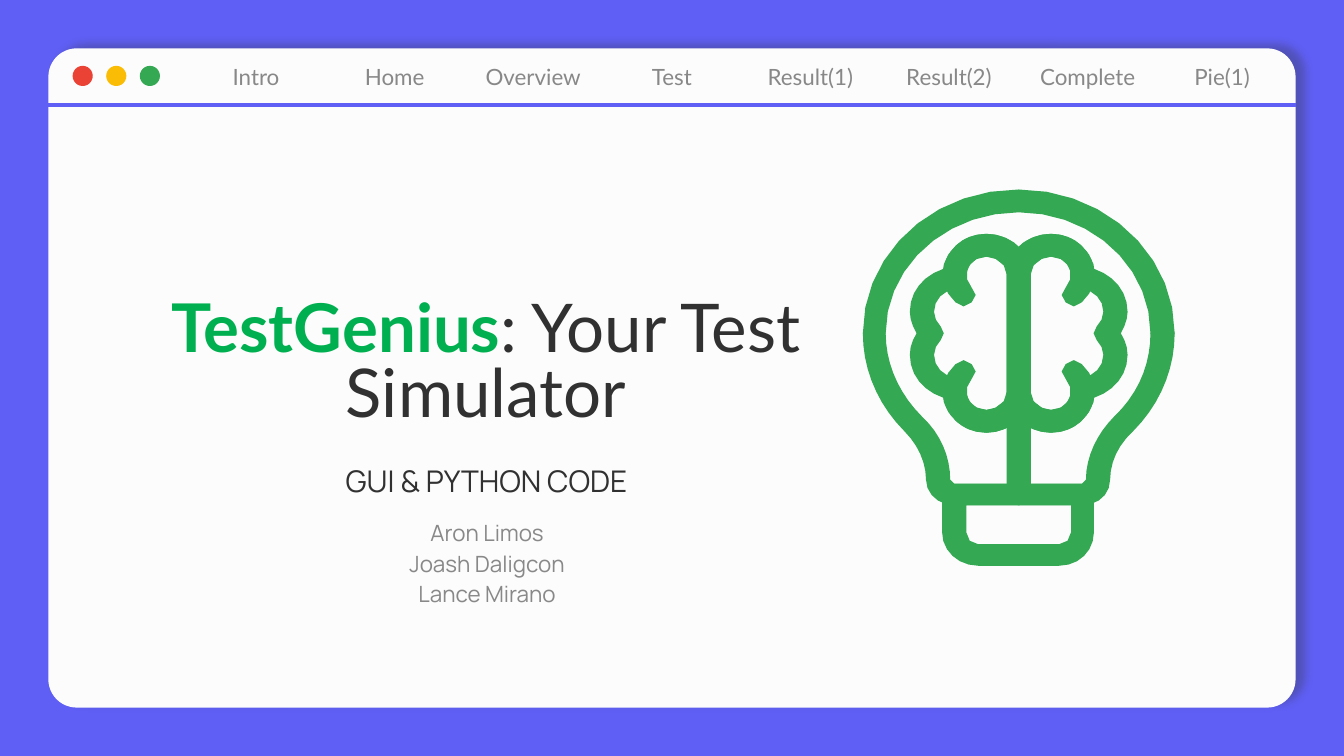
from math import ceil, dist

from lxml import etree
from pptx import Presentation
from pptx.dml.color import RGBColor
from pptx.enum.shapes import MSO_CONNECTOR, MSO_SHAPE
from pptx.enum.text import MSO_ANCHOR, PP_ALIGN
from pptx.oxml import parse_xml
from pptx.oxml.ns import nsdecls, qn
from pptx.util import Inches, Pt

ROUNDED, ROUND_CORNER, OVAL = (
    MSO_SHAPE.ROUNDED_RECTANGLE, MSO_SHAPE.ROUND_1_RECTANGLE, MSO_SHAPE.OVAL)
STRAIGHT = MSO_CONNECTOR.STRAIGHT
CENTER = PP_ALIGN.CENTER
TOP, MIDDLE, BOTTOM = MSO_ANCHOR.TOP, MSO_ANCHOR.MIDDLE, MSO_ANCHOR.BOTTOM

COLORS = {
    "background": "5F5FF5", "panel": "FCFCFC", "ink": "313131", "muted": "888888",
    "title": "00B050", "red": "EA4335", "yellow": "FBBC05", "green": "34A853",
}

# Content
TABS = ["Intro", "Home", "Overview", "Test", "Result(1)", "Result(2)", "Complete", "Pie(1)"]
DOTS = ["red", "yellow", "green"]
# box, anchor, line spacing, paragraphs of (text, font, size, color, bold) runs
TEXTS = [
    ((1.09, 1.83, 5.05, 1.47), BOTTOM, 0.8,
     [[("TestGenius", "Lato", 36, "title", True),
       (": Your Test Simulator", "Lato", 36, "ink", False)]]),
    ((1.91, 3.3, 3.42, 0.53), TOP, 1.15,
     [[("GUI & PYTHON CODE", "Manrope", 16, "ink", False)]]),
    ((1.91, 3.73, 3.43, 1.05), TOP, 1.15,
     [[("Aron Limos\vJoash Daligcon", "Manrope", 12, "muted", False)],
      [("Lance Mirano", "Manrope", 12, "muted", False)]]),
]

# Bulb outlines in inches: each contour is a start point, then lines (x, y)
# and cubic curves (two control points and an end point).
CURL = [[
    (7.34, 1.74), (7.25, 1.74, 7.17, 1.77, 7.11, 1.83), (6.98, 1.95, 6.98, 2.13, 7.11, 2.25),
    (7.12, 2.27, 7.14, 2.28, 7.17, 2.28), (7.19, 2.28, 7.22, 2.27, 7.23, 2.25),
    (7.27, 2.22, 7.27, 2.17, 7.23, 2.14), (7.18, 2.09, 7.18, 2, 7.23, 1.95),
    (7.26, 1.92, 7.3, 1.91, 7.34, 1.91), (7.38, 1.91, 7.42, 1.92, 7.44, 1.95),
    (7.46, 1.96, 7.48, 1.97, 7.51, 1.97), (7.53, 1.97, 7.56, 1.96, 7.57, 1.95),
    (7.61, 1.91, 7.61, 1.86, 7.57, 1.83), (7.51, 1.77, 7.42, 1.74, 7.34, 1.74)]]
LOBE = [
    [(7.34, 1.91), (7.42, 1.91, 7.49, 1.97, 7.49, 2.04), (7.49, 2.92),
     (7.49, 2.99, 7.42, 3.05, 7.34, 3.05), (7.26, 3.05, 7.19, 2.99, 7.19, 2.92),
     (7.19, 2.9), (7.19, 2.87, 7.19, 2.86, 7.17, 2.84),
     (7.16, 2.82, 7.14, 2.81, 7.11, 2.81), (7.02, 2.8, 6.95, 2.73, 6.95, 2.64),
     (6.95, 2.6, 6.97, 2.56, 7, 2.53), (7.03, 2.5, 7.03, 2.46, 7, 2.43),
     (6.97, 2.4, 6.95, 2.36, 6.95, 2.32), (6.95, 2.23, 7.02, 2.16, 7.11, 2.15),
     (7.14, 2.15, 7.16, 2.14, 7.17, 2.12), (7.19, 2.1, 7.19, 2.09, 7.19, 2.06),
     (7.19, 2.04), (7.19, 1.97, 7.26, 1.91, 7.34, 1.91)],
    [(7.34, 1.74), (7.17, 1.74, 7.04, 1.86, 7.02, 2), (6.87, 2.05, 6.77, 2.17, 6.77, 2.32),
     (6.77, 2.37, 6.79, 2.43, 6.82, 2.48), (6.79, 2.53, 6.77, 2.58, 6.77, 2.64),
     (6.77, 2.79, 6.87, 2.91, 7.02, 2.96), (7.04, 3.1, 7.17, 3.22, 7.34, 3.22),
     (7.52, 3.22, 7.67, 3.08, 7.67, 2.92), (7.67, 2.04), (7.67, 1.87, 7.52, 1.74, 7.34, 1.74)]]
CAP = [
    [(7.97, 3.76), (7.97, 3.96), (7.97, 4.01, 7.93, 4.05, 7.88, 4.05), (7.28, 4.05),
     (7.23, 4.05, 7.19, 4.01, 7.19, 3.96), (7.19, 3.76)],
    [(7.1, 3.6), (7.05, 3.6, 7.01, 3.63, 7.01, 3.68), (7.01, 3.96),
     (7.01, 4.1, 7.13, 4.21, 7.28, 4.21), (7.88, 4.21), (8.03, 4.21, 8.14, 4.1, 8.14, 3.96),
     (8.14, 3.68), (8.14, 3.63, 8.1, 3.6, 8.05, 3.6)]]
NECK = [[
    (6.51, 2.4), (6.45, 2.4, 6.42, 2.43, 6.42, 2.48), (6.42, 2.75, 6.53, 3.01, 6.73, 3.21),
    (6.83, 3.31, 6.89, 3.44, 6.89, 3.57), (6.89, 3.68, 6.99, 3.76, 7.1, 3.76), (8.05, 3.76),
    (8.17, 3.76, 8.26, 3.68, 8.26, 3.57), (8.26, 3.44, 8.32, 3.31, 8.43, 3.21),
    (8.63, 3.01, 8.74, 2.75, 8.74, 2.48), (8.74, 2.43, 8.7, 2.4, 8.65, 2.4),
    (8.6, 2.4, 8.56, 2.43, 8.56, 2.48), (8.56, 2.71, 8.47, 2.93, 8.29, 3.1),
    (8.16, 3.23, 8.08, 3.4, 8.08, 3.57), (8.08, 3.59, 8.07, 3.6, 8.05, 3.6), (7.1, 3.6),
    (7.08, 3.6, 7.07, 3.59, 7.07, 3.57), (7.07, 3.4, 7, 3.23, 6.86, 3.1),
    (6.69, 2.93, 6.59, 2.71, 6.59, 2.48), (6.59, 2.43, 6.55, 2.4, 6.51, 2.4)]]
DOME = [[
    (7.58, 1.41), (6.93, 1.41, 6.42, 1.89, 6.42, 2.48), (6.42, 2.53, 6.45, 2.56, 6.51, 2.56),
    (6.55, 2.56, 6.59, 2.53, 6.59, 2.48), (6.59, 1.98, 7.04, 1.58, 7.58, 1.58),
    (8.12, 1.58, 8.56, 1.98, 8.56, 2.48), (8.56, 2.53, 8.6, 2.56, 8.65, 2.56),
    (8.7, 2.56, 8.74, 2.53, 8.74, 2.48), (8.74, 1.89, 8.22, 1.41, 7.58, 1.41)]]
STEM = [[
    (7.58, 2.84), (7.53, 2.84, 7.49, 2.87, 7.49, 2.92), (7.49, 3.68),
    (7.49, 3.73, 7.53, 3.76, 7.58, 3.76), (7.63, 3.76, 7.67, 3.73, 7.67, 3.68),
    (7.67, 2.92), (7.67, 2.87, 7.63, 2.84, 7.58, 2.84)]]
# outline, then its (flip x, flip y) placements about the brain's centre
BULB = [
    (CURL, [(True, True), (True, False), (False, False), (False, True)]),
    (LOBE, [(True, False), (False, False)]),
    (CAP, [(False, False)]), (NECK, [(False, False)]),
    (DOME, [(False, False)]), (STEM, [(False, False)]),
]
BRAIN_X, BRAIN_Y = 7.58, 2.48
STEP_LENGTH, MOST_STEPS = 0.07, 9

# Layout
WIDTH, HEIGHT = 10, 5.625
MARGIN = 0.36
PANEL_WIDTH, PANEL_HEIGHT = WIDTH - 2 * MARGIN, HEIGHT - 2 * MARGIN
BAR_HEIGHT = 0.42
TABS_LEFT = 1.39
TAB_WIDTH = (WIDTH - MARGIN - TABS_LEFT) / len(TABS)
DOT_LEFT, DOT_TOP, DOT_SIZE, DOT_PITCH = 0.54, 0.49, 0.15, 0.25


def color(name):
    return RGBColor.from_string(COLORS[name])


def paint(shape, fill=None):
    shape.shadow.inherit = False
    shape.line.fill.background()
    if fill:
        shape.fill.solid()
        shape.fill.fore_color.rgb = color(fill)
    else:
        shape.fill.background()


def add_shape(kind, box, fill=None):
    shape = slide.shapes.add_shape(kind, *map(Inches, box))
    paint(shape, fill)
    return shape


def write(shape, paragraphs, anchor, inset, spacing=1.0):
    frame = shape.text_frame
    frame.word_wrap = True
    frame.vertical_anchor = anchor
    frame.margin_left = frame.margin_right = Inches(inset)
    frame.margin_top = frame.margin_bottom = Inches(inset)
    frame.text = "\n".join("".join(run[0] for run in runs) for runs in paragraphs)
    for paragraph, runs in zip(frame.paragraphs, paragraphs):
        paragraph.alignment = CENTER
        paragraph.line_spacing = spacing
        paragraph.clear()
        for text, font, size, ink, bold in runs:
            for index, line in enumerate(text.split("\v")):
                if index:
                    paragraph.add_line_break()
                run = paragraph.add_run()
                run.text = line
                run.font.name, run.font.size, run.font.bold = font, Pt(size), bold
                run.font.color.rgb = color(ink)


def flatten(contour, flip_x, flip_y):
    """Return the contour's points in EMU, longer curves cut into more lines."""
    points = [contour[0]]
    for segment in contour[1:]:
        if len(segment) == 2:
            points.append(segment)
            continue
        controls = [points[-1], segment[:2], segment[2:4], segment[4:]]
        steps = min(MOST_STEPS, ceil(dist(controls[0], controls[3]) / STEP_LENGTH))
        for step in range(1, steps + 1):
            t = step / steps
            weights = ((1 - t) ** 3, 3 * t * (1 - t) ** 2, 3 * t * t * (1 - t), t ** 3)
            points.append(tuple(
                sum(weight * point[axis] for weight, point in zip(weights, controls))
                for axis in (0, 1)))
    return [(Inches(2 * BRAIN_X - x if flip_x else x),
             Inches(2 * BRAIN_Y - y if flip_y else y)) for x, y in points]


def add_outline(contours, flip_x, flip_y):
    first, *others = [flatten(contour, flip_x, flip_y) for contour in contours]
    builder = slide.shapes.build_freeform(*first[0])
    builder.add_line_segments(first[1:])
    for points in others:
        builder.move_to(*points[0])
        builder.add_line_segments(points[1:])
    paint(builder.convert_to_shape(), "green")


presentation = Presentation()
presentation.slide_width, presentation.slide_height = Inches(WIDTH), Inches(HEIGHT)
slide = presentation.slides.add_slide(presentation.slide_layouts[6])
slide.background.fill.solid()
slide.background.fill.fore_color.rgb = color("background")

panel = add_shape(ROUNDED, (MARGIN, MARGIN, PANEL_WIDTH, PANEL_HEIGHT), "panel")
panel.adjustments[0] = 0.043
panel._element.spPr.find(qn("a:effectLst")).append(parse_xml(
    f'<a:outerShdw {nsdecls("a")} blurRad="{Pt(4.5)}" dist="{Pt(6)}" dir="{342 * 60000}" '
    f'algn="bl" rotWithShape="0"><a:srgbClr val="{COLORS["ink"]}">'
    '<a:alpha val="30000"/></a:srgbClr></a:outerShdw>'))

for column, label in enumerate(TABS):
    last = column == len(TABS) - 1
    tab = add_shape(ROUND_CORNER if last else ROUNDED,
                    (TABS_LEFT + column * TAB_WIDTH, MARGIN, TAB_WIDTH, BAR_HEIGHT))
    tab.adjustments[0] = 0.5 if last else 0.06
    write(tab, [[(label, "Lato", 12, "muted", False)]], MIDDLE, 0)

for column, dot in enumerate(DOTS):
    add_shape(OVAL, (DOT_LEFT + column * DOT_PITCH, DOT_TOP, DOT_SIZE, DOT_SIZE), dot)

bar_bottom = Inches(MARGIN + BAR_HEIGHT)
divider = slide.shapes.add_connector(
    STRAIGHT, Inches(MARGIN), bar_bottom, Inches(WIDTH - MARGIN), bar_bottom)
divider.line.color.rgb = color("background")
divider.line.width = Pt(2.25)
etree.SubElement(divider._element.spPr, qn("a:effectLst"))

for box, anchor, spacing, paragraphs in TEXTS:
    write(slide.shapes.add_textbox(*map(Inches, box)), paragraphs, anchor, 0.1, spacing)

for contours, placements in BULB:
    for flip_x, flip_y in placements:
        add_outline(contours, flip_x, flip_y)

presentation.save("out.pptx")
